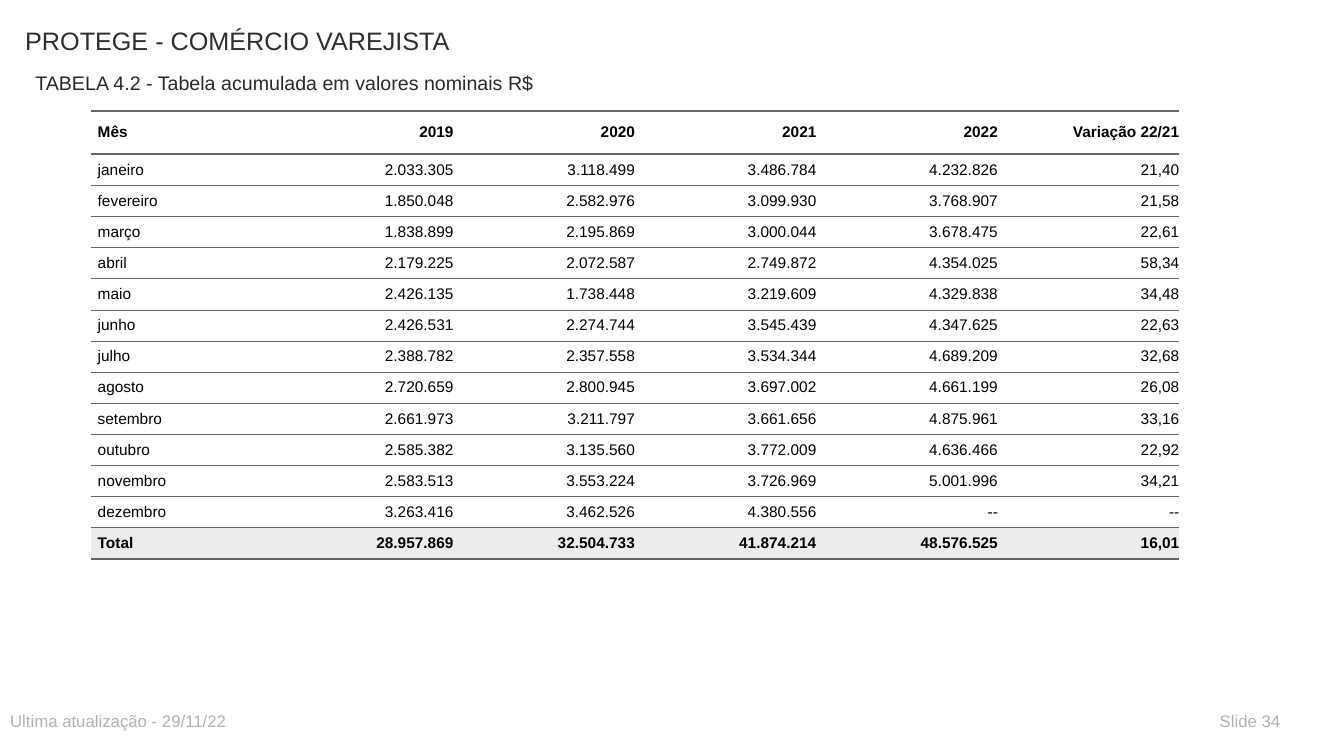
from lxml.etree import SubElement as Sub
from pptx import Presentation
from pptx.dml.color import RGBColor as RGB
from pptx.enum.text import MSO_ANCHOR as ANCHOR, MSO_AUTO_SIZE as FIT, PP_ALIGN as ALIGN
from pptx.oxml import parse_xml
from pptx.oxml.ns import nsdecls, qn
from pptx.util import Pt

HUES = {"title": "2D2E2D", "sub": "292929", "foot": "B2B2B2", "text": "000000",
        "rule": "666666", "cell": "FFFFFF", "total": "ECECEC"}
FONT = "Arial"
PLAIN = "{2D5ABB26-0587-4C30-8999-92F81FD0307C}"  # table style without grid
ROWS = [line.split("|") for line in """\
Mês|2019|2020|2021|2022|Variação 22/21
janeiro|2.033.305|3.118.499|3.486.784|4.232.826|21,40
fevereiro|1.850.048|2.582.976|3.099.930|3.768.907|21,58
março|1.838.899|2.195.869|3.000.044|3.678.475|22,61
abril|2.179.225|2.072.587|2.749.872|4.354.025|58,34
maio|2.426.135|1.738.448|3.219.609|4.329.838|34,48
junho|2.426.531|2.274.744|3.545.439|4.347.625|22,63
julho|2.388.782|2.357.558|3.534.344|4.689.209|32,68
agosto|2.720.659|2.800.945|3.697.002|4.661.199|26,08
setembro|2.661.973|3.211.797|3.661.656|4.875.961|33,16
outubro|2.585.382|3.135.560|3.772.009|4.636.466|22,92
novembro|2.583.513|3.553.224|3.726.969|5.001.996|34,21
dezembro|3.263.416|3.462.526|4.380.556|--|--
Total|28.957.869|32.504.733|41.874.214|48.576.525|16,01""".splitlines()]


def style(para, size, hue, bold=False):
    for run in para.runs:
        font = run.font
        font.name, font.size, font.bold = FONT, Pt(size), bold
        font.color.rgb = RGB.from_string(HUES[hue])


def label(hold, box, text, size, hue):
    """Fill a placeholder with one line of text, set at the top left of its box."""
    hold.left, hold.top, hold.width, hold.height = map(Pt, box)
    frame = hold.text_frame
    frame.text = text
    frame.word_wrap, frame.auto_size = True, FIT.NONE
    frame.vertical_anchor = ANCHOR.TOP
    para = frame.paragraphs[0]
    props = para._p.get_or_add_pPr()
    props.set("marL", "0")
    props.set("indent", "0")
    Sub(props, qn("a:buNone"))
    para.alignment, para.space_before = ALIGN.LEFT, Pt(0)
    style(para, size, hue)


def rule(cell, side, width):
    """Draw one border; borders come before the fill of a cell."""
    cell._tc.get_or_add_tcPr().insert(0, parse_xml(
        f'<a:{side} {nsdecls("a")} w="{Pt(width)}"><a:solidFill>'
        f'<a:srgbClr val="{HUES["rule"]}"/></a:solidFill></a:{side}>'))


def sheet(slide, box, head):
    """Table of monthly values, with a taller head row and a shaded total."""
    left, top, wide, high = box
    last = len(ROWS) - 1
    grid = slide.shapes.add_table(len(ROWS), len(ROWS[0]), *map(Pt, box)).table
    grid._tbl.tblPr.find(qn("a:tableStyleId")).text = PLAIN
    grid.horz_banding = False
    for col in grid.columns:
        col.width = Pt(wide / len(ROWS[0]))
    for r, row in enumerate(ROWS):
        grid.rows[r].height = Pt(head if r == 0 else (high - head) / last)
        for c, text in enumerate(row):
            cell = grid.cell(r, c)
            cell.text = text
            cell.vertical_anchor = ANCHOR.MIDDLE
            cell.margin_left = cell.margin_right = 0
            cell.margin_top = cell.margin_bottom = Pt(4)
            cell.fill.solid()
            cell.fill.fore_color.rgb = RGB.from_string(HUES["total" if r == last else "cell"])
            para = cell.text_frame.paragraphs[0]
            para._p.get_or_add_pPr().set("marL", str(Pt(5)))
            para.alignment = ALIGN.RIGHT if c else ALIGN.LEFT
            style(para, 11, "text", r in (0, last))
            rule(cell, "lnB", 2 if r in (0, last) else 0.5)
            if r == 0:
                rule(cell, "lnT", 2)


def main():
    deck = Presentation()
    deck.slide_width, deck.slide_height = Pt(960), Pt(540)
    slide = deck.slides.add_slide(deck.slide_layouts[4])
    title, sub, date, page, spare = slide.placeholders
    spare._element.getparent().remove(spare._element)

    # Headings
    label(title, (10.8, 14.4, 576, 42.5), "PROTEGE - COMÉRCIO VAREJISTA", 18, "title")
    label(sub, (18, 46.8, 468, 21.6),
          "TABELA 4.2 - Tabela acumulada em valores nominais R$", 14, "sub")
    # Table
    sheet(slide, (64.8, 79.2, 777.6, 320.25), 31)
    # Footer
    label(date, (0, 504, 468, 21.6), "Ultima atualização - 29/11/22", 12, "foot")
    label(page, (864, 504, 64.8, 21.6), "Slide 34", 12, "foot")
    deck.save("out.pptx")


if __name__ == "__main__":
    main()
